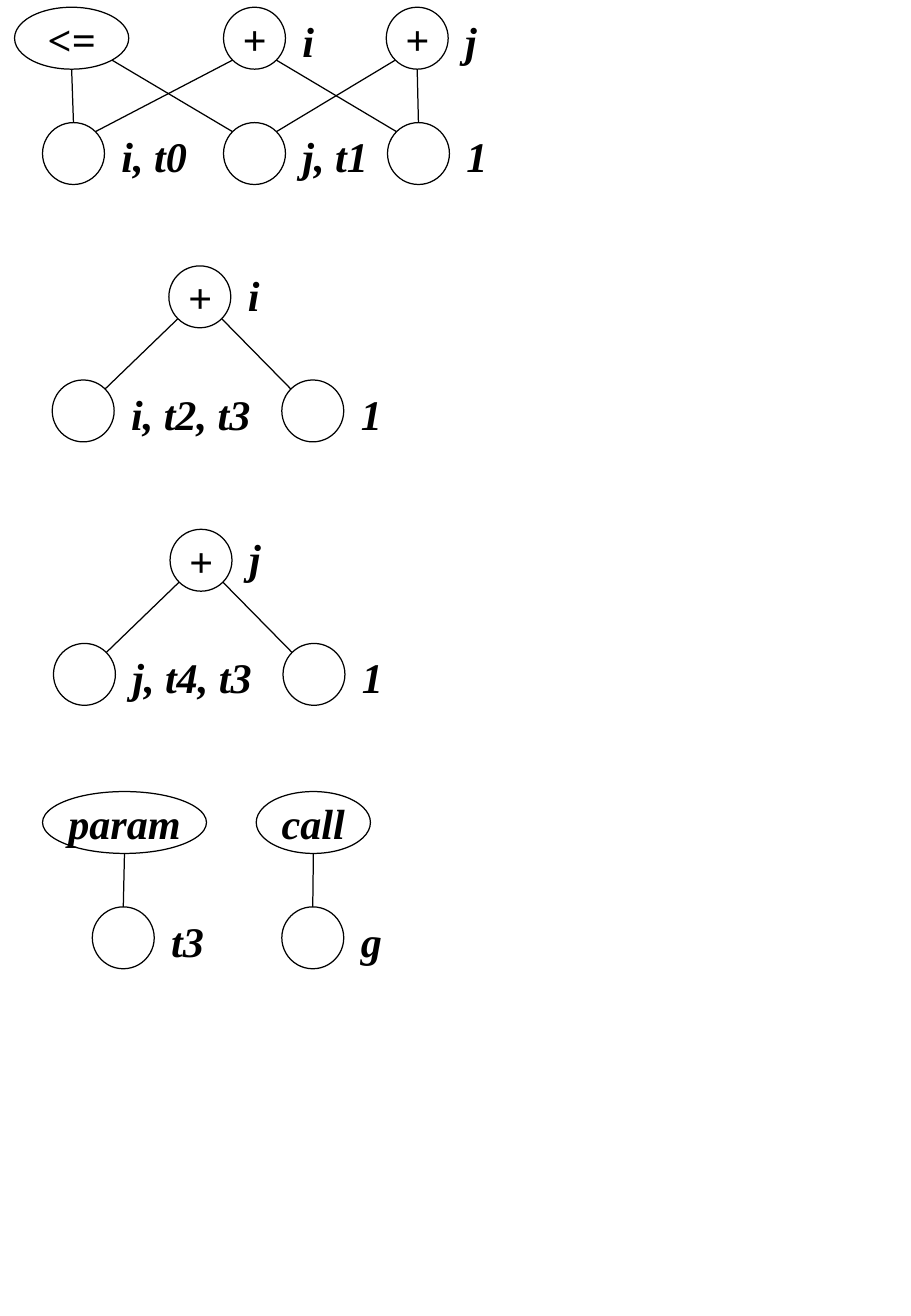
from dataclasses import dataclass
from math import sqrt

from lxml.etree import SubElement
from pptx import Presentation
from pptx.dml.color import RGBColor
from pptx.enum.shapes import MSO_CONNECTOR as Link, MSO_SHAPE as Form
from pptx.enum.text import MSO_ANCHOR as Anchor, PP_ALIGN as Align
from pptx.oxml.ns import qn
from pptx.shapes.shapetree import SlideShapes
from pptx.text.text import TextFrame
from pptx.util import Emu, Pt

SCALE = 9144  # EMU in one px, 100 px to the inch
BLACK = RGBColor(0, 0, 0)
FONT = "Times New Roman"
SIZE = 51
GAP = 53


def px(count: float) -> Emu:
    return Emu(round(count * SCALE))


@dataclass(frozen=True)
class Node:
    left: int
    top: int
    text: str = ""
    label: str = ""
    width: int = SIZE
    drop: int = 4  # label top below node top

    def site(self, side: int, down: int) -> tuple[float, float]:
        """Point on the outline: side -1, 0 or 1, down 1 for below, -1 for above."""
        part = 1 / sqrt(2) if side else 1
        x = self.left + self.width / 2 * (1 + side * part)
        y = self.top + SIZE / 2 * (1 + down * part)
        return x, y


@dataclass(frozen=True)
class Edge:
    head: Node
    leaf: Node
    side: int = 0


def write(frame: TextFrame, text: str, align: Align, inset: int) -> None:
    frame.word_wrap = False
    frame.vertical_anchor = Anchor.MIDDLE
    frame.margin_left = frame.margin_right = px(inset)
    frame.margin_top = frame.margin_bottom = px(5)
    line = frame.paragraphs[0]
    line.alignment = align
    run = line.add_run()
    run.text = text
    font = run.font
    font.name, font.size = FONT, Pt(25)
    font.bold = font.italic = True
    font.color.rgb = BLACK


def draw_node(shapes: SlideShapes, node: Node) -> None:
    oval = shapes.add_shape(Form.OVAL, px(node.left), px(node.top),
                            px(node.width), px(SIZE))
    oval.shadow.inherit = False
    oval.fill.background()
    oval.line.color.rgb = BLACK
    oval.line.width = Pt(0.75)
    if node.text:
        write(oval.text_frame, node.text, Align.CENTER, 10)
    if node.label:
        width = 36 + 12 * len(node.label)
        box = shapes.add_textbox(px(node.left + GAP), px(node.top + node.drop),
                                 px(width), px(47))
        write(box.text_frame, node.label, Align.LEFT, 12)


def draw_edge(shapes: SlideShapes, edge: Edge) -> None:
    start = edge.head.site(edge.side, 1)
    end = edge.leaf.site(-edge.side, -1)
    line = shapes.add_connector(Link.STRAIGHT, *map(px, start + end))
    line.line.color.rgb = BLACK
    line.line.width = Pt(0.75)
    SubElement(line._element.spPr, qn("a:effectLst"))


def tree(left: int, top: int, name: str, leaf: str) -> list[Edge]:
    """A sum of a variable and one."""
    head = Node(left + 96, top, "+", name, drop=0)
    low = top + 94
    return [Edge(head, Node(left, low, label=leaf), -1),
            Edge(head, Node(left + 189, low, label="1"), 1)]


def loop() -> list[Edge]:
    """The block whose nodes share their leaves."""
    test = Node(12, 6, "<=", width=94)
    add_i = Node(184, 6, "+", "i")
    add_j = Node(318, 6, "+", "j")
    var_i = Node(35, 101, label="i, t0")
    var_j = Node(184, 101, label="j, t1")
    one = Node(319, 101, label="1")
    return [Edge(test, var_i), Edge(test, var_j, 1),
            Edge(add_i, var_i, -1), Edge(add_i, one, 1),
            Edge(add_j, var_j, -1), Edge(add_j, one)]


def main() -> None:
    deck = Presentation()
    deck.slide_width, deck.slide_height = px(750), px(1084)
    shapes = deck.slides.add_slide(deck.slide_layouts[6]).shapes
    edges = [
        *loop(),
        *tree(43, 219, "i", "i, t2, t3"),
        *tree(44, 436, "j", "j, t4, t3"),
        Edge(Node(35, 652, "param", width=135), Node(76, 747, label="t3")),
        Edge(Node(211, 652, "call", width=94), Node(232, 747, label="g")),
    ]
    nodes = dict.fromkeys(node for edge in edges for node in (edge.head, edge.leaf))
    for node in nodes:
        draw_node(shapes, node)
    for edge in edges:
        draw_edge(shapes, edge)
    deck.save("out.pptx")


if __name__ == "__main__":
    main()
